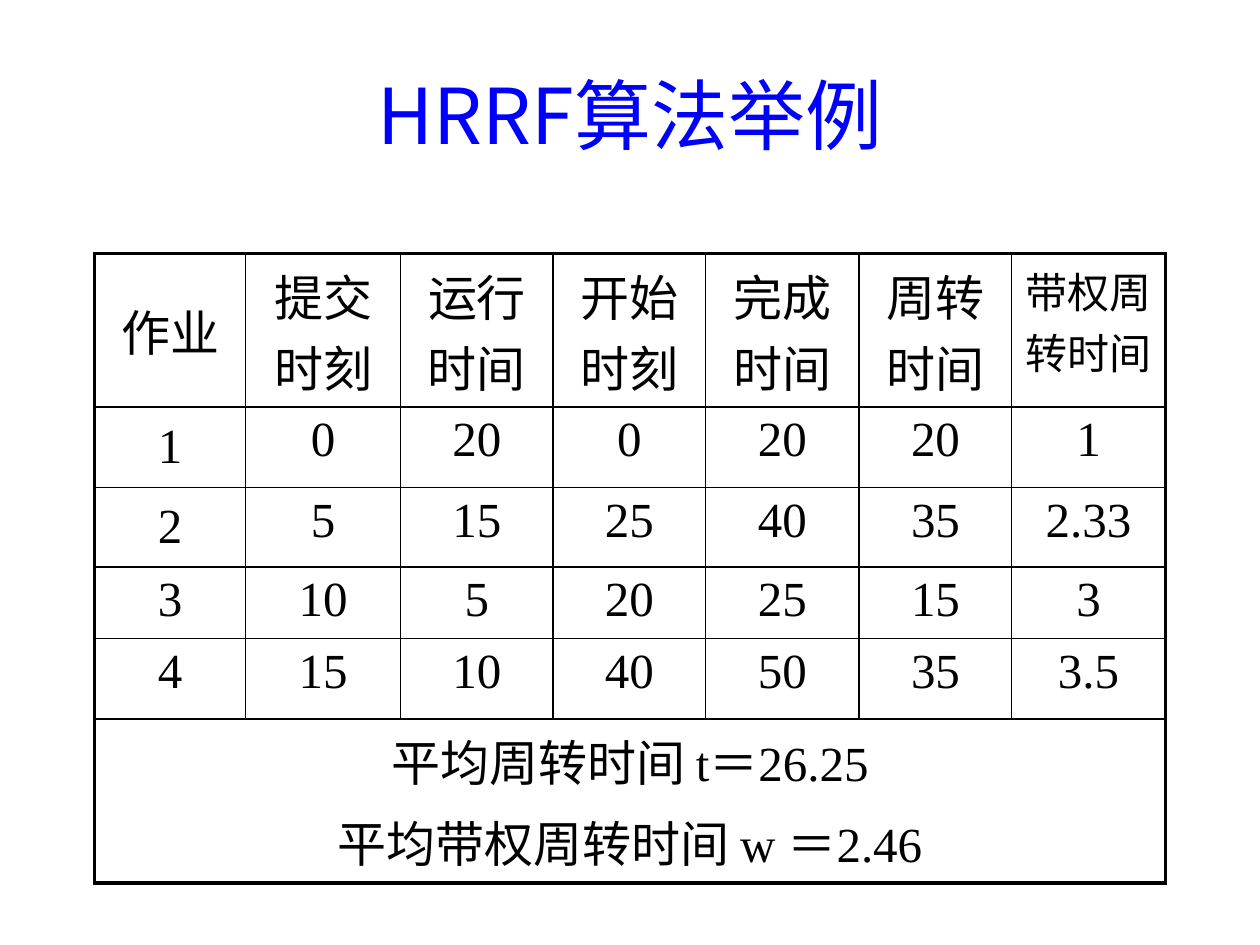
from dataclasses import dataclass

from lxml import etree
from pptx import Presentation
from pptx import util as u
from pptx.dml.color import RGBColor
from pptx.enum import text
from pptx.oxml.ns import qn

BLACK = RGBColor(0, 0, 0)
BLUE = RGBColor(0, 0, 255)
SANS = "Noto Sans CJK JP"
SERIF = "Times New Roman"
THIN, THICK = 1, 2.25
COL_WIDTHS = [1.2, 1.23, 1.21, 1.21, 1.22, 1.21, 1.22]


@dataclass
class Row:
    height: float
    values: list[str]
    first_middle: bool = False


ROWS = [
    Row(1.22, ["作业", "提交时刻", "运行时间", "开始时刻", "完成时间", "周转时间", "带权周转时间"], True),
    Row(0.64, ["1", "0", "20", "0", "20", "20", "1"], True),
    Row(0.63, ["2", "5", "15", "25", "40", "35", "2.33"], True),
    Row(0.56, ["3", "10", "5", "20", "25", "15", "3"]),
    Row(0.64, ["4", "15", "10", "40", "50", "35", "3.5"]),
    Row(1.3, ["平均周转时间 t＝26.25\n平均带权周转时间 w ＝2.46"]),
]


def style_paragraph(p, size: float, latin: str, color: RGBColor) -> None:
    p.alignment = text.PP_ALIGN.CENTER
    p.font.size = u.Pt(size)
    p.font.name = latin
    p.font.color.rgb = color
    props = p._p.get_or_add_pPr().find(qn("a:defRPr"))
    etree.SubElement(props, qn("a:ea"), typeface=SANS)


def set_borders(cell, widths: dict[str, float]) -> None:
    props = cell._tc.get_or_add_tcPr()
    for i, (side, width) in enumerate(widths.items()):
        ln = etree.Element(qn(f"a:ln{side}"), w=str(u.Pt(width)))
        fill = etree.SubElement(ln, qn("a:solidFill"))
        etree.SubElement(fill, qn("a:srgbClr"), val=str(BLACK))
        props.insert(i, ln)


def add_title(s, title: str) -> None:
    sp = s.shapes.add_textbox(u.Inches(0.75), u.Inches(0.28), u.Inches(8.5), u.Inches(1.25))
    tf = sp.text_frame
    tf.word_wrap = True
    tf.vertical_anchor = text.MSO_ANCHOR.MIDDLE
    tf.text = title
    style_paragraph(tf.paragraphs[0], 44, SANS, BLUE)


def fill_cell(cell, value: str, size: float, middle: bool) -> None:
    cell.text = value
    cell.vertical_anchor = text.MSO_ANCHOR.MIDDLE if middle else text.MSO_ANCHOR.TOP
    for p in cell.text_frame.paragraphs:
        style_paragraph(p, size, SERIF, BLACK)
        p.space_before = u.Pt(0.2 * size)


def add_schedule(s, rows: list[Row]) -> None:
    n_rows, n_cols = len(rows), len(COL_WIDTHS)
    frame = s.shapes.add_table(
        n_rows, n_cols, u.Inches(0.75), u.Inches(2.01),
        u.Inches(sum(COL_WIDTHS)), u.Inches(sum(row.height for row in rows)),
    )
    table = frame.table
    table.first_row = table.horz_banding = False
    for column, width in zip(table.columns, COL_WIDTHS):
        column.width = u.Inches(width)
    table.cell(n_rows - 1, 0).merge(table.cell(n_rows - 1, n_cols - 1))
    for i, row in enumerate(rows):
        table.rows[i].height = u.Inches(row.height)
        for j, value in enumerate(row.values):
            size = 24 if len(value) == 6 else 28
            fill_cell(table.cell(i, j), value, size, row.first_middle and j == 0)
        for j in range(n_cols):
            cell = table.cell(i, j)
            cell.fill.background()
            merged = len(row.values) == 1
            set_borders(cell, {
                "L": THICK if j == 0 else THIN,
                "R": THICK if merged or j == n_cols - 1 else THIN,
                "T": THICK if i == 0 else THIN,
                "B": THICK if i == n_rows - 1 else THIN,
            })


def main() -> None:
    prs = Presentation()
    prs.slide_width, prs.slide_height = u.Inches(10), u.Inches(7.5)
    s = prs.slides.add_slide(prs.slide_layouts[6])
    add_title(s, "HRRF算法举例")
    add_schedule(s, ROWS)
    prs.save("out.pptx")


if __name__ == "__main__":
    main()
